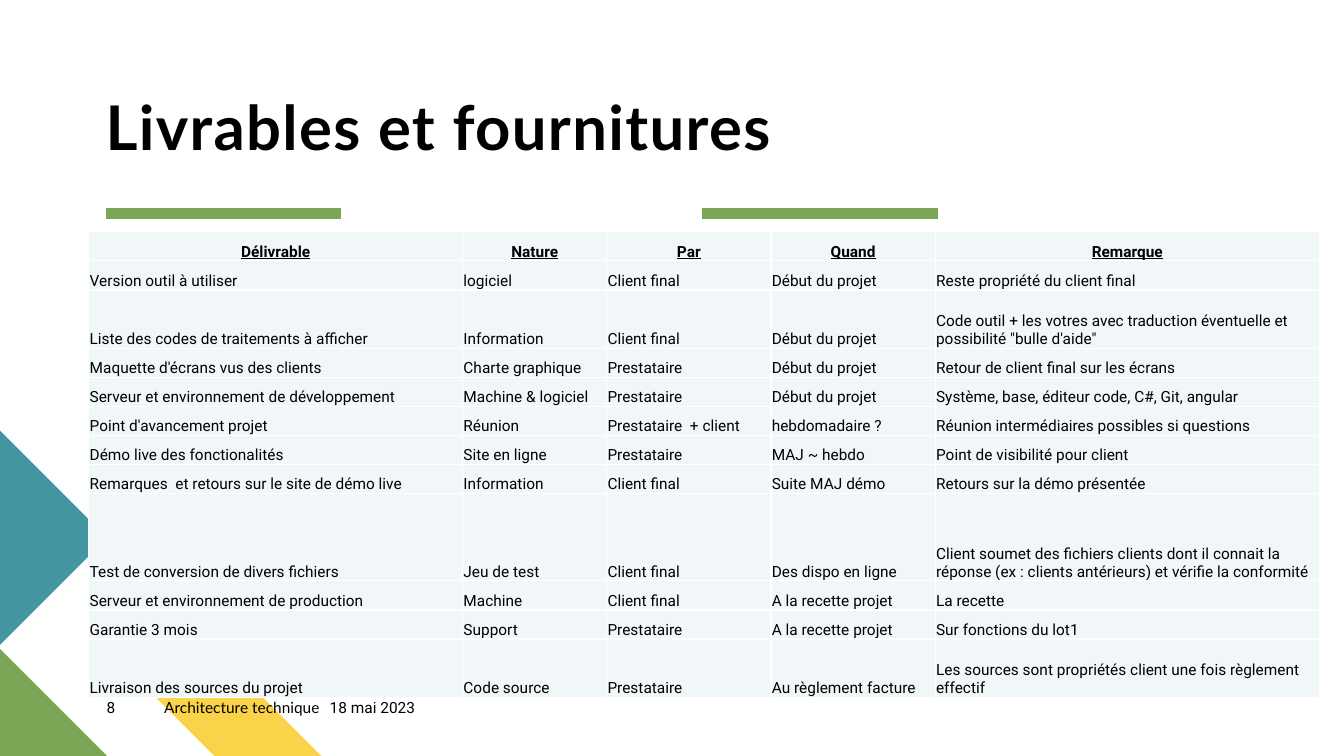
from lxml import etree
from pptx import Presentation
from pptx.dml.color import RGBColor
from pptx.enum.shapes import MSO_CONNECTOR
from pptx.enum.text import MSO_ANCHOR, PP_ALIGN
from pptx.oxml.ns import qn
from pptx.util import Cm, Pt

STRAIGHT = MSO_CONNECTOR.STRAIGHT
TOP, BOTTOM = MSO_ANCHOR.TOP, MSO_ANCHOR.BOTTOM
LEFT, CENTER = PP_ALIGN.LEFT, PP_ALIGN.CENTER

COLORS = {
    "text": "000000",
    "cell": "F1F7F8",
    "border": "FFFFFF",
    "yellow": "F9D448",
    "green": "7CA655",
    "teal": "4495A2",
}
FORMATS = {
    "title": {"name": "Lato", "size": Pt(44), "bold": True},
    "footer": {"name": "Roboto", "size": Pt(11)},
    "subject": {"name": "Lato", "size": Pt(11)},
    "header": {"name": "Roboto", "size": Pt(11), "bold": True, "underline": True},
    "body": {"name": "Roboto", "size": Pt(11), "bold": False},
}
CELL_LAYOUT = {
    "vertical_anchor": BOTTOM,
    "margin_left": Cm(0.02),
    "margin_right": Cm(0.02),
    "margin_top": Cm(0.02),
    "margin_bottom": 0,
}
FRAME_LAYOUT = {
    "word_wrap": True,
    "margin_left": 0,
    "margin_right": 0,
    "margin_top": 0,
    "margin_bottom": 0,
}

SLIDE_WIDTH, SLIDE_HEIGHT = 33.87, 19.05
COLUMN_WIDTHS = [9.42, 3.63, 4.14, 4.14, 9.68]
ROW_UNITS = [1, 1, 2, 1, 1, 1, 1, 1, 3, 1, 1, 2]
DELIVERABLES = [
    ("Délivrable", "Nature", "Par", "Quand", "Remarque"),
    ("Version outil à utiliser", "logiciel", "Client final", "Début du projet",
     "Reste propriété du client final"),
    ("Liste des codes de traitements à afficher", "Information", "Client final",
     "Début du projet",
     "Code outil + les votres avec traduction éventuelle et possibilité \"bulle d'aide\""),
    ("Maquette d'écrans vus des clients", "Charte graphique", "Prestataire",
     "Début du projet", "Retour de client final sur les écrans"),
    ("Serveur et environnement de développement", "Machine & logiciel", "Prestataire",
     "Début du projet", "Système, base, éditeur code, C#, Git, angular"),
    ("Point d'avancement projet", "Réunion", "Prestataire  + client", "hebdomadaire ?",
     "Réunion intermédiaires possibles si questions"),
    ("Démo live des fonctionalités", "Site en ligne", "Prestataire", "MAJ ~ hebdo",
     "Point de visibilité pour client"),
    ("Remarques  et retours sur le site de démo live", "Information", "Client final",
     "Suite MAJ démo", "Retours sur la démo présentée"),
    ("Test de conversion de divers fichiers", "Jeu de test", "Client final",
     "Des dispo en ligne",
     "Client soumet des fichiers clients dont il connait la réponse (ex : clients antérieurs) "
     "et vérifie la conformité"),
    ("Serveur et environnement de production", "Machine", "Client final",
     "A la recette projet", "La recette"),
    ("Garantie 3 mois", "Support", "Prestataire", "A la recette projet",
     "Sur fonctions du lot1"),
    ("Livraison des sources du projet", "Code source", "Prestataire",
     "Au règlement facture", "Les sources sont propriétés client une fois règlement effectif"),
]


def apply_format(target, values):
    for attribute, value in values.items():
        setattr(target, attribute, value)


def write(paragraph, wording, style):
    run = paragraph.add_run()
    run.text = wording
    apply_format(run.font, FORMATS[style])
    run.font.color.rgb = RGBColor.from_string(COLORS["text"])
    return run


def add_label(slide, box, wording, style, anchor=TOP):
    frame = slide.shapes.add_textbox(*map(Cm, box)).text_frame
    apply_format(frame, FRAME_LAYOUT)
    frame.vertical_anchor = anchor
    return write(frame.paragraphs[0], wording, style), frame.paragraphs[0]


def add_corner_decor(slide, box):
    left, top, width, height = box
    half = width / 2
    base = top + height
    outlines = {
        "yellow": [(3 * half, base), (2 * half, base), (half, base - half),
                   (1.5 * half, base - 1.5 * half)],
        "green": [(half, base), (0, base), (0, base - half)],
        "teal": [(0, top), (half, top + half), (0, top + 2 * half)],
    }
    for color, points in outlines.items():
        corners = [(Cm(left + x), Cm(y)) for x, y in points]
        builder = slide.shapes.build_freeform(*corners[0])
        builder.add_line_segments(corners[1:], close=True)
        polygon = builder.convert_to_shape()
        polygon.shadow.inherit = False
        polygon.fill.solid()
        polygon.fill.fore_color.rgb = RGBColor.from_string(COLORS[color])
        polygon.line.fill.background()


def add_heading(slide, box):
    left, top, width, height = box
    title_run, title_paragraph = add_label(
        slide, (left, top, width, 1.7), "Livrables et fournitures", "title", BOTTOM)
    title_paragraph.line_spacing = 0.9
    title_run.font._element.set("spc", "100")
    rule_y = Cm(top + height)
    for offset in (0, 15.03):
        start = left + offset
        rule = slide.shapes.add_connector(
            STRAIGHT, Cm(start), rule_y, Cm(start + 5.94), rule_y)
        rule.line.color.rgb = RGBColor.from_string(COLORS["green"])
        rule.line.width = Pt(8)
        etree.SubElement(rule._element.spPr, qn("a:effectLst"))


def add_footer(slide, box):
    left, top, _, height = box
    parts = [("8", "footer", 1.45), ("Architecture technique", "subject", 4.17),
             ("18 mai 2023", "footer", 3.66)]
    for wording, style, width in parts:
        add_label(slide, (left, top, width, height), wording, style)
        left += width


def add_borders(cell):
    properties = cell._tc.get_or_add_tcPr()
    for side in ("lnL", "lnR", "lnT", "lnB"):
        border = etree.SubElement(properties, qn(f"a:{side}"), w=str(Pt(1)))
        fill = etree.SubElement(border, qn("a:solidFill"))
        etree.SubElement(fill, qn("a:srgbClr"), val=COLORS["border"])


def add_deliverables(slide, box):
    table = slide.shapes.add_table(
        len(DELIVERABLES), len(COLUMN_WIDTHS), *map(Cm, box)).table
    table.first_row = table.horz_banding = False
    for column, width in zip(table.columns, COLUMN_WIDTHS):
        column.width = Cm(width)
    unit = box[3] / sum(ROW_UNITS)
    for row_index, (row, units) in enumerate(zip(table.rows, ROW_UNITS)):
        row.height = Cm(unit * units)
        style, alignment = ("body", LEFT) if row_index else ("header", CENTER)
        for cell, wording in zip(row.cells, DELIVERABLES[row_index]):
            apply_format(cell, CELL_LAYOUT)
            add_borders(cell)
            cell.fill.solid()
            cell.fill.fore_color.rgb = RGBColor.from_string(COLORS["cell"])
            paragraph = cell.text_frame.paragraphs[0]
            paragraph.alignment = alignment
            write(paragraph, wording, style)


def main():
    presentation = Presentation()
    presentation.slide_width = Cm(SLIDE_WIDTH)
    presentation.slide_height = Cm(SLIDE_HEIGHT)
    slide = presentation.slides.add_slide(presentation.slide_layouts[6])
    add_corner_decor(slide, (0, 10.85, 5.4, 8.2))
    add_heading(slide, (2.66, 2.44, 18.97, 2.95))
    add_footer(slide, (2.69, 17.58, 9.28, 0.69))
    add_deliverables(slide, (2.24, 5.84, sum(COLUMN_WIDTHS), 11.73))
    presentation.save("out.pptx")


if __name__ == "__main__":
    main()
